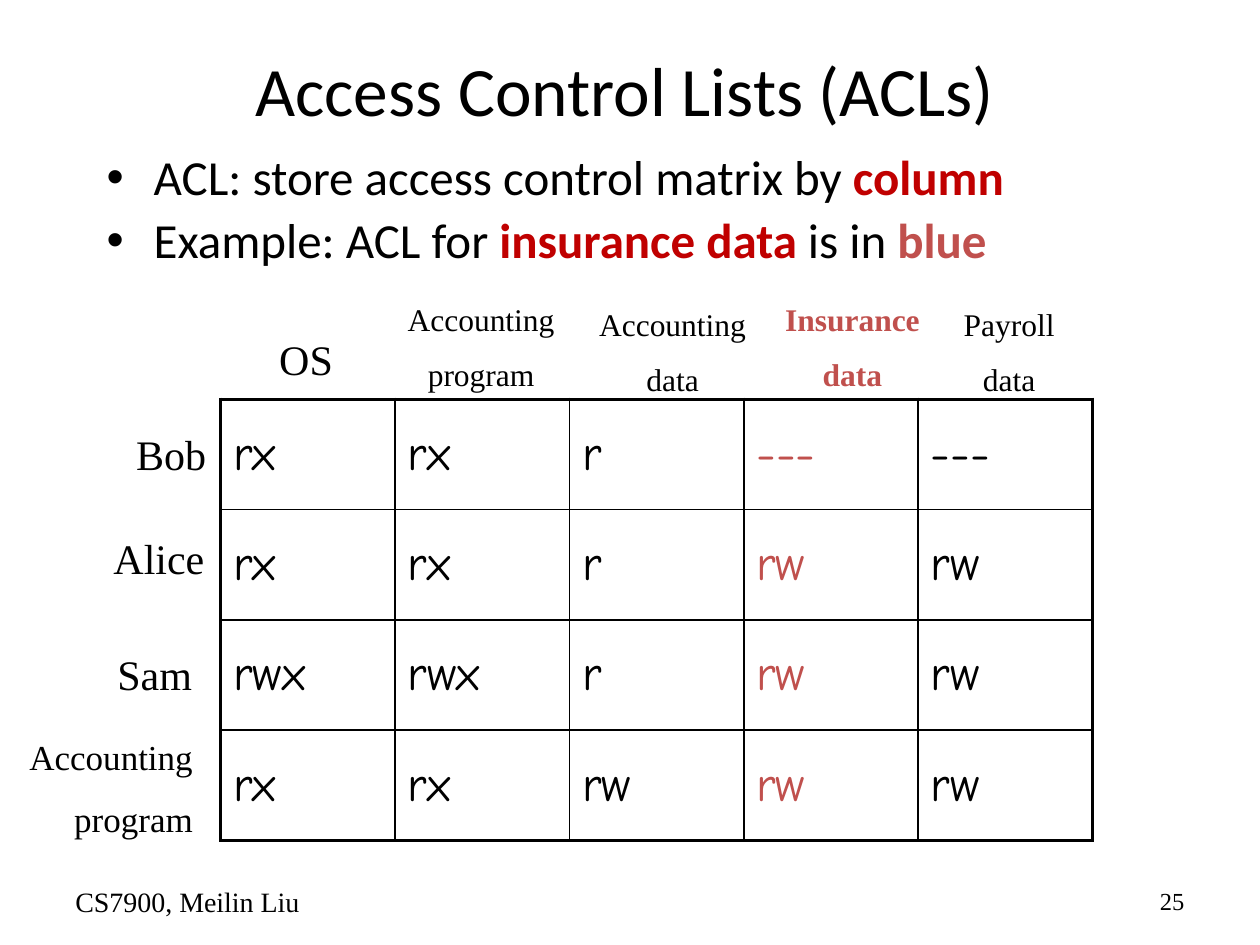
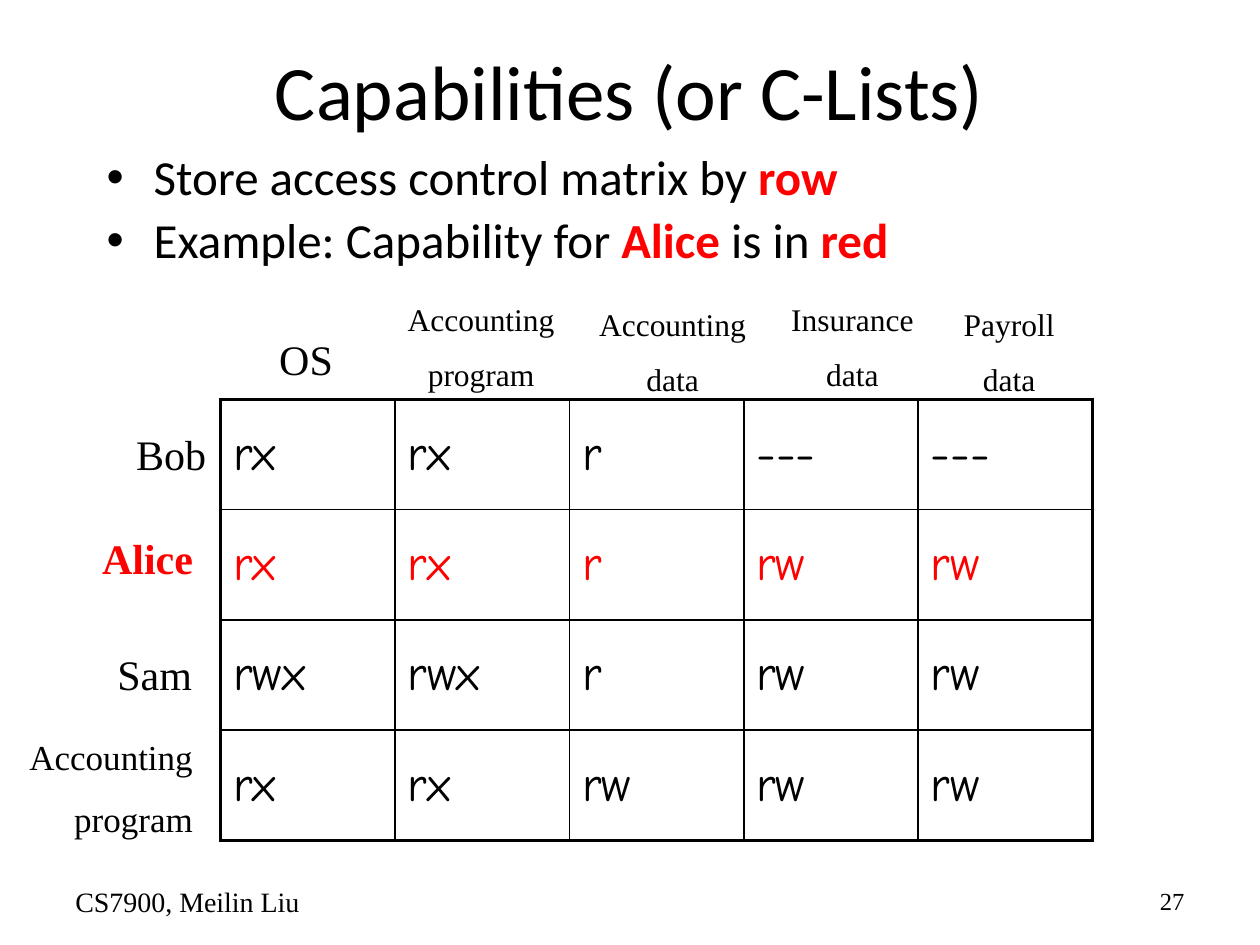
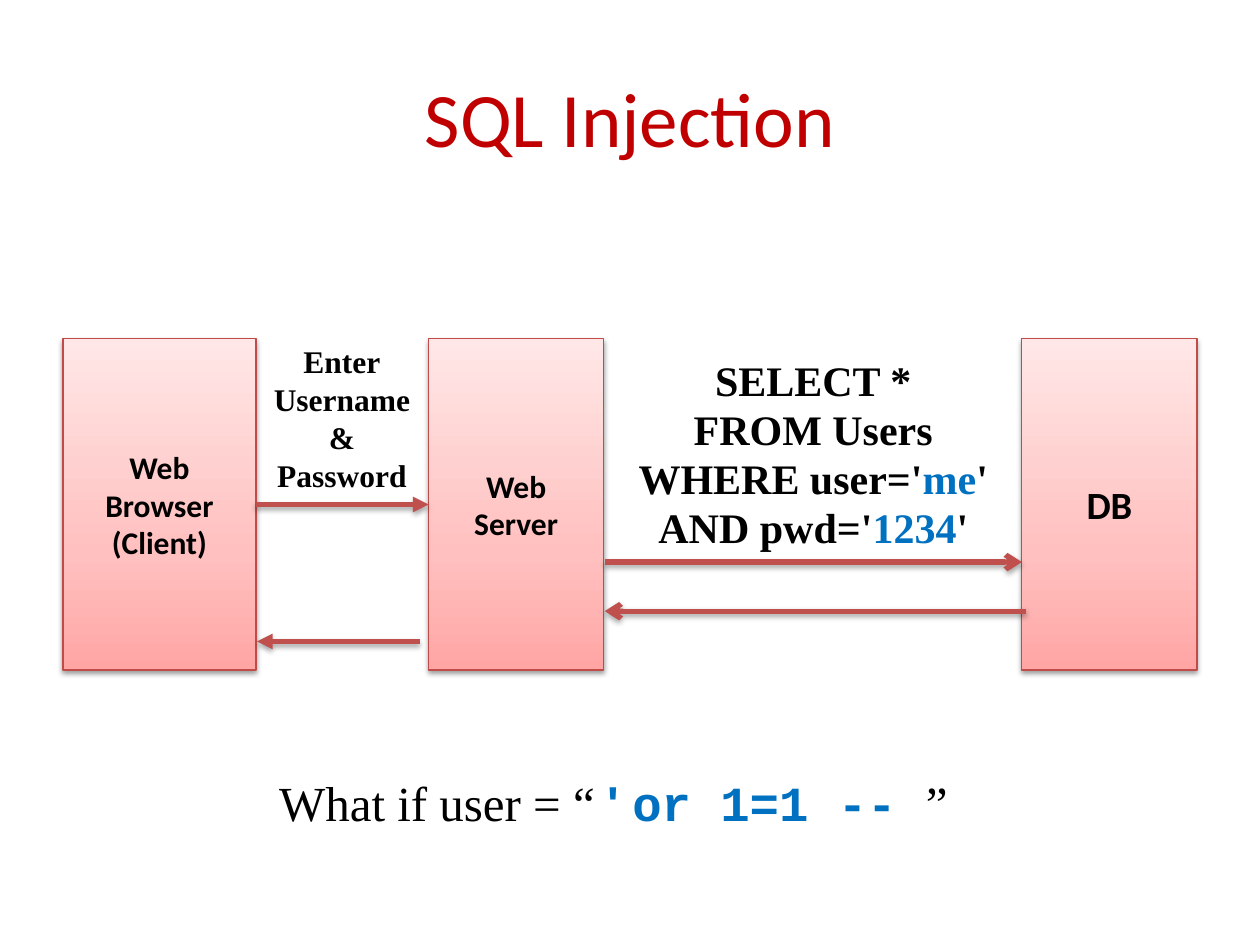
from copy import deepcopy
from typing import NamedTuple, Optional

from lxml.etree import SubElement
from pptx import Presentation
from pptx.dml.color import RGBColor
from pptx.enum.shapes import MSO_CONNECTOR as Connector, MSO_SHAPE as Preset
from pptx.enum.text import MSO_ANCHOR as Anchor, MSO_AUTO_SIZE as AutoSize, PP_ALIGN as Align
from pptx.oxml.ns import qn
from pptx.util import Cm, Pt

BLACK, DARK_RED, BRICK, RED, BLUE = "000000", "C00000", "C0504D", "FF0000", "0070C0"
BOX_BORDER = "BF4C48"
BOX_GRADIENT = [(0, "FFA6A5"), (0.35, "FFC0BF"), (1, "FFE7E7")]
SANS, SERIF, HAND, CODE, PLAIN = "Calibri", "Times New Roman", "Comic Neue", "Courier New", "Arial"


class Area(NamedTuple):
    """A rectangle in centimetres."""
    left: float
    top: float
    width: float
    height: float


class Style(NamedTuple):
    size: float
    font: str = SERIF
    color: str = BLACK
    bold: bool = False


class Span(NamedTuple):
    text: str
    style: Style


class Label(NamedTuple):
    lines: list[str]
    area: Area
    size: float = 18
    align: Align = Align.CENTER


class MatrixSlide(NamedTuple):
    title: str
    title_area: Area
    title_size: float
    bullets: list[list[Span]]
    alice_left: float
    highlight: str
    number: str
    marked_row: Optional[int] = None
    marked_column: Optional[int] = None


class Node(NamedTuple):
    lines: list[str]
    left: float
    width: float
    size: float


class Arrow(NamedTuple):
    start: float
    end: float
    top: float
    head: str


BODY = Style(28, SANS)
SQL = Style(24, bold=True)
SQL_INPUT = SQL._replace(color=BLUE)
QUESTION = Style(28)

BULLET_AREA = Area(1.9, 2.97, 21.7, 3.18)
TABLE_AREA = Area(4.45, 8.05, 17.58, 8.89)
FOOTER_AREA = Area(1.27, 17.65, 5.92, 1.02)
NUMBER_AREA = FOOTER_AREA._replace(left=18.21)
NODE_TOP, NODE_HEIGHT = 6.83, 6.68

RIGHTS = [
    ["rx", "rx", "r", "---", "---"],
    ["rx", "rx", "r", "rw", "rw"],
    ["rwx", "rwx", "r", "rw", "rw"],
    ["rx", "rx", "rw", "rw", "rw"],
]
COLUMN_LABELS = [
    Label(["OS"], Area(5.28, 6.6, 1.78, 1.45), 24),
    Label(["Accounting", "program"], Area(7.82, 5.92, 3.76, 2.03)),
    Label(["Accounting", "data"], Area(11.68, 6.02, 3.76, 2.03)),
    Label(["Insurance", "data"], Area(15.46, 5.92, 3.45, 2.03)),
    Label(["Payroll", "data"], Area(19.1, 6.02, 2.49, 2.03)),
]
ROW_LABELS = [
    Label(["Bob"], Area(2.46, 8.51, 1.98, 1.45), 24),
    Label(["Alice"], Area(1.96, 10.62, 2.49, 1.45), 24),
    Label(["Sam"], Area(2.03, 12.95, 2.18, 1.45), 24),
    Label(["Accounting", "program"], Area(0, 14.71, 4.14, 2.24), 20, Align.RIGHT),
]
ALICE_ROW, INSURANCE_COLUMN = 1, 3


def emphasis(text: str, color: str) -> Span:
    return Span(text, BODY._replace(color=color, bold=True))


MATRIX_SLIDES = [
    MatrixSlide(
        "Access Control Lists (ACLs)", Area(1.7, 0.84, 21.79, 1.9), 39.6,
        [[Span("ACL: store access control matrix by ", BODY), emphasis("column", DARK_RED)],
         [Span("Example: ACL for ", BODY), emphasis("insurance data", DARK_RED),
          Span(" is in ", BODY), emphasis("blue", BRICK)]],
        1.96, BRICK, "25", marked_column=INSURANCE_COLUMN),
    MatrixSlide(
        "Capabilities (or C-Lists)", Area(1.9, 0.43, 21.59, 2.74), 44,
        [[Span("Store access control matrix by ", BODY), emphasis("row", RED)],
         [Span("Example: Capability for ", BODY), emphasis("Alice", RED),
          Span(" is in ", BODY), emphasis("red", RED)]],
        1.73, RED, "27", marked_row=ALICE_ROW),
]

NODES = [
    Node(["Web", "Browser", "(Client)"], 1.27, 3.89, 18),
    Node(["Web", "Server"], 8.64, 3.53, 18),
    Node(["DB"], 20.6, 3.53, 22),
]
REQUEST = Arrow(5.16, 8.64, 10.17, "triangle")
OTHER_ARROWS = [
    Arrow(8.46, 5.18, 12.93, "triangle"),
    Arrow(12.19, 20.6, 11.33, "arrow"),
    Arrow(20.68, 12.19, 12.32, "arrow"),
]
QUERY = [
    [Span("SELECT *", SQL)],
    [Span("FROM Users", SQL)],
    [Span("WHERE user='", SQL), Span("me", SQL_INPUT), Span("'", SQL)],
    [Span("AND pwd='", SQL), Span("1234", SQL_INPUT), Span("'", SQL)],
]


def rgb(color: str) -> RGBColor:
    return RGBColor.from_string(color)


def lengths(area: Area) -> list[Cm]:
    return [Cm(value) for value in area]


def format_run(run, style: Style) -> None:
    run.font.size = Pt(style.size)
    run.font.name = style.font
    run.font.bold = style.bold
    run.font.color.rgb = rgb(style.color)


def plain_lines(lines: list[str], style: Style) -> list[list[Span]]:
    return [[Span(line, style)] for line in lines]


def write(text_frame, lines: list[list[Span]], align: Align = Align.LEFT,
          gap: float = 0, line_spacing=None) -> None:
    """Write one paragraph per line, with a gap in points between them."""
    for index, spans in enumerate(lines):
        paragraph = text_frame.add_paragraph() if index else text_frame.paragraphs[0]
        paragraph.alignment = align
        if index and gap:
            paragraph.space_before = Pt(gap)
        if line_spacing:
            paragraph.line_spacing = line_spacing
        for span in spans:
            run = paragraph.add_run()
            run.text = span.text
            format_run(run, span.style)


def add_text(slide, area: Area, wrap: bool = True, anchor: Anchor = Anchor.TOP,
             grow: bool = False):
    text_frame = slide.shapes.add_textbox(*lengths(area)).text_frame
    text_frame.word_wrap = wrap
    text_frame.vertical_anchor = anchor
    text_frame.auto_size = AutoSize.SHAPE_TO_FIT_TEXT if grow else AutoSize.NONE
    return text_frame


def add_titled_slide(presentation, title: str, area: Area, style: Style):
    slide = presentation.slides.add_slide(presentation.slide_layouts.get_by_name("Title Only"))
    shape = slide.shapes.title
    shape.left, shape.top, shape.width, shape.height = lengths(area)
    text_frame = shape.text_frame
    text_frame.text = title
    text_frame.auto_size = AutoSize.NONE
    text_frame.vertical_anchor = Anchor.MIDDLE
    text_frame.paragraphs[0].alignment = Align.CENTER
    format_run(text_frame.paragraphs[0].runs[0], style)
    return slide


def add_bullets(slide, lines: list[list[Span]]) -> None:
    text_frame = add_text(slide, BULLET_AREA)
    write(text_frame, lines, gap=5.6, line_spacing=0.9)
    for paragraph in text_frame.paragraphs:
        properties = paragraph._p.get_or_add_pPr()
        properties.set("marL", str(Cm(0.95)))
        properties.set("indent", str(-Cm(0.95)))
        SubElement(properties, qn("a:buFont"), typeface=PLAIN)
        SubElement(properties, qn("a:buChar"), char="•")


def set_borders(cell, widths: dict[str, float]) -> None:
    """Draw the cell's borders; widths are in points, by side L, R, T, B."""
    properties = cell._tc.get_or_add_tcPr()
    for index, (side, width) in enumerate(widths.items()):
        line = SubElement(properties, qn(f"a:ln{side}"), w=str(Pt(width)))
        fill = SubElement(line, qn("a:solidFill"))
        SubElement(fill, qn("a:srgbClr"), val=BLACK)
        properties.insert(index, line)


def add_rights_table(slide, content: MatrixSlide) -> None:
    row_count, column_count = len(RIGHTS), len(RIGHTS[0])
    table = slide.shapes.add_table(row_count, column_count, *lengths(TABLE_AREA)).table
    table.first_row = table.horz_banding = False
    for column in table.columns:
        column.width = Cm(TABLE_AREA.width / column_count)
    for row in table.rows:
        row.height = Cm(TABLE_AREA.height / row_count)
    for row_index, rights in enumerate(RIGHTS):
        for column_index, right in enumerate(rights):
            cell = table.cell(row_index, column_index)
            marked = row_index == content.marked_row or column_index == content.marked_column
            color = content.highlight if marked else BLACK
            write(cell.text_frame, [[Span(right, Style(28, HAND, color))]])
            cell.vertical_anchor = Anchor.MIDDLE
            cell.fill.background()
            outer = {"L": column_index == 0, "R": column_index == column_count - 1,
                     "T": row_index == 0, "B": row_index == row_count - 1}
            set_borders(cell, {side: 2.25 if edge else 1 for side, edge in outer.items()})


def add_label(slide, label: Label, color: str, bold: bool) -> None:
    text_frame = add_text(slide, label.area, wrap=False, grow=True)
    style = Style(label.size, color=color, bold=bold)
    write(text_frame, plain_lines(label.lines, style), label.align, gap=label.size * 0.55)


def add_footer(slide, number: str) -> None:
    write(add_text(slide, FOOTER_AREA, anchor=Anchor.MIDDLE),
          [[Span("CS7900, Meilin Liu", Style(16))]])
    write(add_text(slide, NUMBER_AREA, anchor=Anchor.MIDDLE),
          [[Span(number, Style(14))]], Align.RIGHT)


def add_matrix_slide(presentation, content: MatrixSlide) -> None:
    slide = add_titled_slide(presentation, content.title, content.title_area,
                             Style(content.title_size, SANS))
    add_bullets(slide, content.bullets)
    add_rights_table(slide, content)
    row_labels = list(ROW_LABELS)
    alice = row_labels[ALICE_ROW]
    row_labels[ALICE_ROW] = alice._replace(area=alice.area._replace(left=content.alice_left))
    for labels, marked in ((COLUMN_LABELS, content.marked_column),
                           (row_labels, content.marked_row)):
        for index, label in enumerate(labels):
            bold = index == marked
            add_label(slide, label, content.highlight if bold else BLACK, bold)
    add_footer(slide, content.number)


def add_shadow(shape, distance: float, opacity: int) -> None:
    """Cast a soft shadow downwards; call after the line is set."""
    effects = SubElement(shape._element.spPr, qn("a:effectLst"))
    shadow = SubElement(effects, qn("a:outerShdw"), blurRad=str(Pt(3.1)),
                        dist=str(Pt(distance)), dir="5400000", rotWithShape="0")
    color = SubElement(shadow, qn("a:srgbClr"), val=BLACK)
    SubElement(color, qn("a:alpha"), val=str(opacity * 1000))


def add_node(slide, node: Node):
    area = Area(node.left, NODE_TOP, node.width, NODE_HEIGHT)
    shape = slide.shapes.add_shape(Preset.RECTANGLE, *lengths(area))
    shape.fill.gradient()
    shape.fill.gradient_angle = 90
    stop_list = shape._element.spPr.find(f".//{qn('a:gsLst')}")
    stop_list.insert(1, deepcopy(stop_list[0]))
    for stop, (position, color) in zip(shape.fill.gradient_stops, BOX_GRADIENT):
        stop.position = position
        stop.color.rgb = rgb(color)
    shape.line.color.rgb = rgb(BOX_BORDER)
    shape.line.width = Pt(0.75)
    add_shadow(shape, 1.6, 38)
    shape.text_frame.word_wrap = False
    shape.text_frame.vertical_anchor = Anchor.MIDDLE
    write(shape.text_frame, plain_lines(node.lines, Style(node.size, SANS, bold=True)),
          Align.CENTER)
    return shape


def add_arrow(slide, arrow: Arrow):
    connector = slide.shapes.add_connector(
        Connector.STRAIGHT, Cm(arrow.start), Cm(arrow.top), Cm(arrow.end), Cm(arrow.top))
    connector.line.color.rgb = rgb(BRICK)
    connector.line.width = Pt(3)
    SubElement(connector.line._get_or_add_ln(), qn("a:tailEnd"), type=arrow.head)
    add_shadow(connector, 1.8, 35)
    return connector


def add_injection_slide(presentation) -> None:
    slide = add_titled_slide(presentation, "SQL Injection", Area(1.27, 0.76, 22.86, 3.18),
                             Style(44, SANS, DARK_RED))
    browser, server, _ = [add_node(slide, node) for node in NODES]
    request = add_arrow(slide, REQUEST)
    request.begin_connect(browser, 3)
    request.end_connect(server, 1)
    for arrow in OTHER_ARROWS:
        add_arrow(slide, arrow)
    write(add_text(slide, Area(5.03, 6.78, 3.73, 3.3), wrap=False, grow=True),
          plain_lines(["Enter", "Username", "&", "Password"], Style(18, bold=True)),
          Align.CENTER)
    write(add_text(slide, Area(12.19, 7.04, 8.41, 4.24), grow=True), QUERY,
          Align.CENTER, line_spacing=Pt(28))
    write(add_text(slide, Area(5.38, 15.44, 14.63, 1.45), grow=True), [[
        Span("What if user = “ ", QUESTION),
        Span("' ", Style(28, PLAIN, BLUE, True)),
        Span("or 1=1 -- ", Style(28, CODE, BLUE, True)),
        Span("”", QUESTION),
    ]])


def main() -> None:
    presentation = Presentation()
    presentation.slide_width, presentation.slide_height = Cm(25.4), Cm(19.05)
    for content in MATRIX_SLIDES:
        add_matrix_slide(presentation, content)
    add_injection_slide(presentation)
    presentation.save("out.pptx")


if __name__ == "__main__":
    main()
